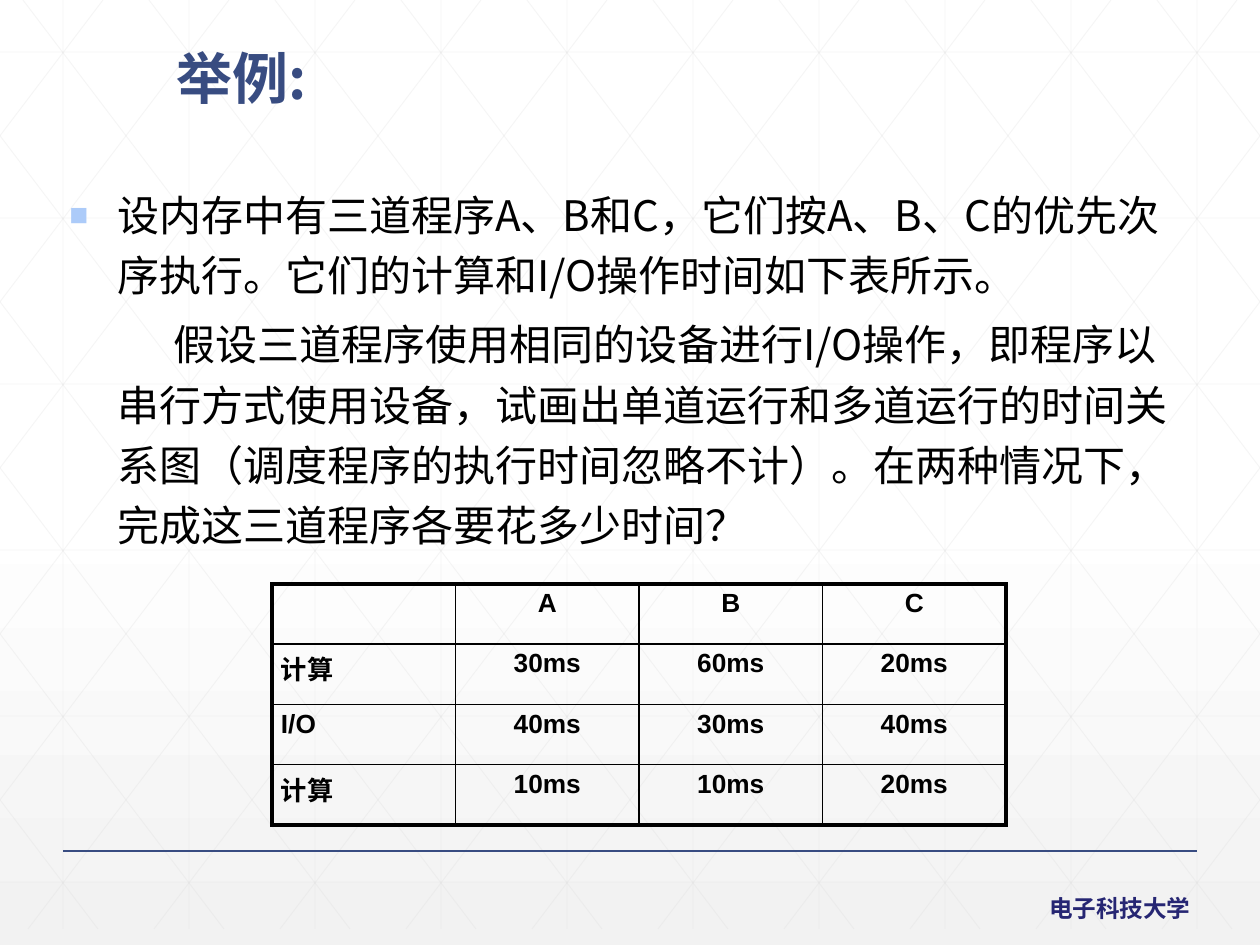
from dataclasses import dataclass

from lxml import etree
from pptx import Presentation
from pptx.dml.color import RGBColor
from pptx.enum.shapes import MSO_CONNECTOR
from pptx.enum.text import MSO_ANCHOR, PP_ALIGN
from pptx.oxml import parse_xml
from pptx.oxml.ns import nsdecls, qn
from pptx.util import Pt

STRAIGHT = MSO_CONNECTOR.STRAIGHT
LEFT, CENTER = PP_ALIGN.LEFT, PP_ALIGN.CENTER
TOP, MIDDLE = MSO_ANCHOR.TOP, MSO_ANCHOR.MIDDLE
EMU_PER_PX = 914400 / 126
SLIDE_W, SLIDE_H = 1260, 945


@dataclass(frozen=True)
class Theme:
    cjk: str = "Noto Sans CJK SC"
    latin: str = "Arial"
    ink: str = "000000"
    accent: str = "384C81"
    footer: str = "262673"
    bullet: str = "ACCBF9"
    grid: str = "D9D9D9"
    back: str = "FFFFFF"
    back_end: str = "F2F2F2"
    title_size: float = 32
    body_size: float = 24
    cell_size: float = 15
    footer_size: float = 13.5


THEME = Theme()

BODY = [
    "设内存中有三道程序A、B和C，它们按A、B、C的优先次序执行。它们的计算和I/O操作时间如下表所示。",
    "假设三道程序使用相同的设备进行I/O操作，即程序以串行方式使用设备，试画出单道运行和多道运行的时间关系图"
    "（调度程序的执行时间忽略不计）。在两种情况下，完成这三道程序各要花多少时间？",
]
TIMES = [
    ["", "A", "B", "C"],
    ["计算", "30ms", "60ms", "20ms"],
    ["I/O", "40ms", "30ms", "40ms"],
    ["计算", "10ms", "10ms", "20ms"],
]


def px(n):
    return round(n * EMU_PER_PX)


def add_text(p, text, size, color=THEME.ink, font=THEME.cjk, bold=False,
             align=LEFT, spacing=None, before=0, margin=0, indent=0, bullet=None):
    p.alignment = align
    if spacing:
        p.line_spacing = spacing
    p.space_before = Pt(before)
    pPr = p._p.get_or_add_pPr()
    pPr.set("marL", str(px(margin)))
    pPr.set("indent", str(px(indent)))
    if bullet:
        clr = etree.SubElement(pPr, qn("a:buClr"))
        etree.SubElement(clr, qn("a:srgbClr"), val=THEME.bullet)
        etree.SubElement(pPr, qn("a:buSzPct"), val="75000")
        etree.SubElement(pPr, qn("a:buFont"), typeface=THEME.latin)
        etree.SubElement(pPr, qn("a:buChar"), char=bullet)
    else:
        etree.SubElement(pPr, qn("a:buNone"))
    r = p.add_run()
    r.text = text
    r.font.size, r.font.bold, r.font.name = Pt(size), bold, font
    r.font.color.rgb = RGBColor.from_string(color)
    etree.SubElement(r._r.get_or_add_rPr(), qn("a:ea"), typeface=THEME.cjk)


def add_box(s, x, y, w, h, wrap=True, anchor=TOP):
    tf = s.shapes.add_textbox(px(x), px(y), px(w), px(h)).text_frame
    tf.word_wrap = wrap
    tf.vertical_anchor = anchor
    return tf


def add_line(shapes, x1, y1, x2, y2, color, width, alpha=None):
    sp = shapes.add_connector(STRAIGHT, px(x1), px(y1), px(x2), px(y2))
    sp.line.width = Pt(width)
    sp.line.color.rgb = RGBColor.from_string(color)
    spPr = sp._element.spPr
    if alpha:
        clr = spPr.find(".//" + qn("a:srgbClr"))
        etree.SubElement(clr, qn("a:alpha"), val=str(alpha * 1000))
    etree.SubElement(spPr, qn("a:effectLst"))


def add_background(s):
    fill = s.background.fill
    fill.gradient()
    fill.gradient_angle = 270
    stops = [(0, THEME.back), (53, THEME.back), (100, THEME.back_end)]
    gs = "".join(f'<a:gs pos="{pos * 1000}"><a:srgbClr val="{color}"/></a:gs>' for pos, color in stops)
    old = s.element.find(".//" + qn("a:gsLst"))
    old.getparent().replace(old, parse_xml(f"<a:gsLst {nsdecls('a')}>{gs}</a:gsLst>"))


def add_grid(s, x, y, w, h):
    shapes = s.shapes.add_group_shape().shapes
    step, row_step, run = 126, 166, 705

    def grid_line(x1, y1, x2, y2):
        add_line(shapes, x + x1, y + y1, x + x2, y + y2, THEME.grid, 0.5, alpha=25)

    for left in range(step // 2, w, step):
        grid_line(left, 0, left, h)
    for top in range(52, h, row_step):
        grid_line(0, top, w, top)
    for start in range(23 - 5 * step, w, step):
        x1, x2 = max(start, 0), min(start + run, w)
        y1, y2 = ((v - start) * h / run for v in (x1, x2))
        grid_line(x1, y1, x2, y2)
        grid_line(w - x1, y1, w - x2, y2)


def add_title(s, x, y, w, h):
    tf = add_box(s, x, y, w, h, anchor=MIDDLE)
    add_text(tf.paragraphs[0], "举例:", THEME.title_size, color=THEME.accent, bold=True, spacing=0.9)


def add_body(s, x, y, w, h):
    tf = add_box(s, x, y, w, h)
    first, second = BODY
    add_text(tf.paragraphs[0], first, THEME.body_size, spacing=1.2, margin=48, indent=-48, bullet="■")
    add_text(tf.add_paragraph(), second, THEME.body_size, spacing=1.2, before=4.8, margin=48, indent=56)


def add_border(cell, side, width):
    ln = etree.SubElement(cell._tc.get_or_add_tcPr(), qn("a:ln" + side), w=str(Pt(width)))
    fill = etree.SubElement(ln, qn("a:solidFill"))
    etree.SubElement(fill, qn("a:srgbClr"), val=THEME.ink)


def add_times_table(s, x, y, w, h):
    rows, cols = len(TIMES), len(TIMES[0])
    table = s.shapes.add_table(rows, cols, px(x), px(y), px(w), px(h)).table
    table.first_row = table.horz_banding = False
    for i, row in enumerate(TIMES):
        for j, text in enumerate(row):
            cell = table.cell(i, j)
            cell.margin_left = cell.margin_right = px(9)
            cell.margin_top = cell.margin_bottom = px(5)
            outer = {"L": j == 0, "R": j == cols - 1, "T": i == 0, "B": i == rows - 1}
            for side, is_outer in outer.items():
                add_border(cell, side, 2.25 if is_outer else 1)
            cell.fill.background()
            if text:
                add_text(cell.text_frame.paragraphs[0], text, THEME.cell_size,
                         font=THEME.latin, bold=True, align=CENTER if j else LEFT)


def add_footer(s, x, y, w, h):
    add_line(s.shapes, x, y, x + w, y, THEME.accent, 1)
    tf = add_box(s, x + w - 160, y + 37, 169, h - 37, wrap=False)
    add_text(tf.paragraphs[0], "电子科技大学", THEME.footer_size, color=THEME.footer, bold=True)


def main():
    prs = Presentation()
    prs.slide_width, prs.slide_height = px(SLIDE_W), px(SLIDE_H)
    s = prs.slides.add_slide(prs.slide_layouts[6])
    add_background(s)
    add_grid(s, 0, 0, SLIDE_W, 929)
    add_footer(s, 63, 851, 1134, 79)
    add_body(s, 57, 173, 1147, 369)
    add_times_table(s, 272, 584, 734, 241)
    add_title(s, 164, 48, 775, 67)
    prs.save("out.pptx")


if __name__ == "__main__":
    main()
